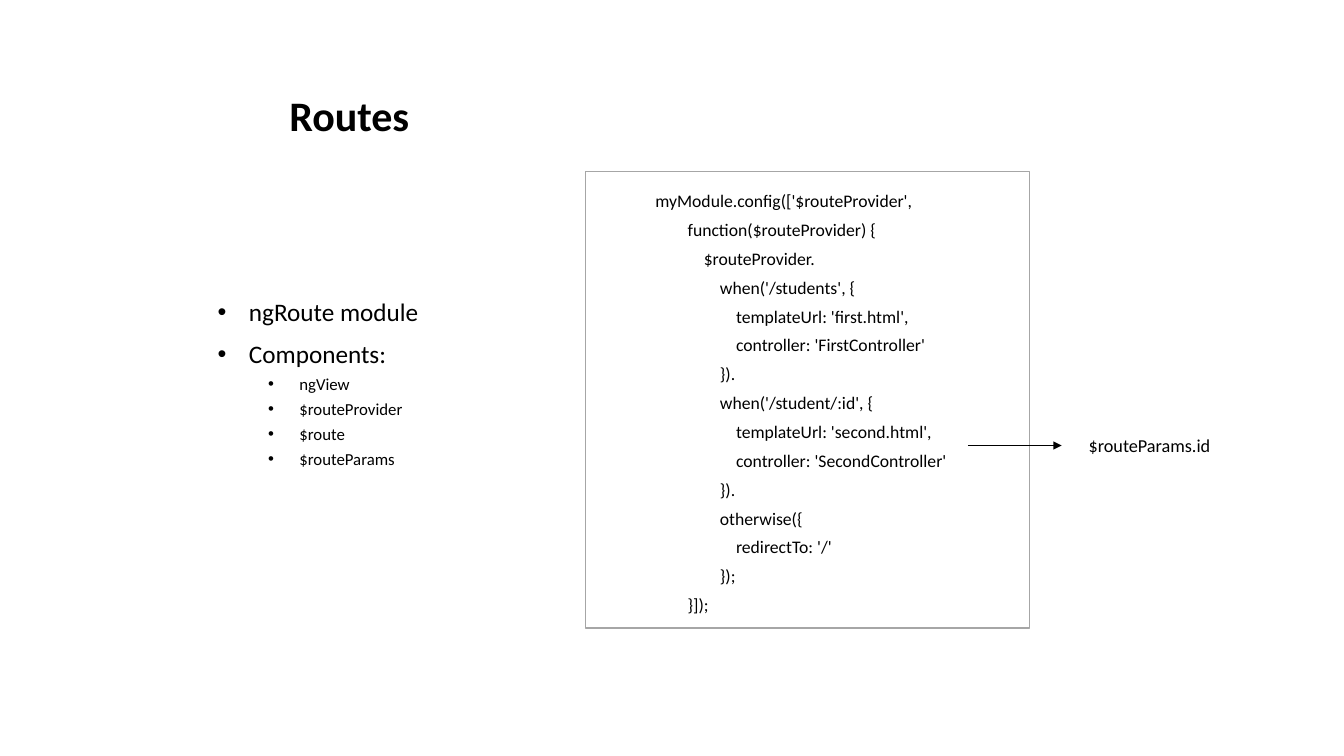
import dataclasses

import pptx
import pptx.dml.color
import pptx.enum.shapes
import pptx.enum.text
import pptx.oxml
import pptx.oxml.ns
import pptx.util
from pptx.util import Inches

ANCHOR = pptx.enum.text.MSO_ANCHOR


@dataclasses.dataclass(frozen=True)
class Theme:
    """Colours, font and type sizes of the slide."""
    font: str = "Calibri"
    text: str = "000000"
    paper: str = "FFFFFF"
    frame: str = "A6A6A6"
    title: float = 30
    item: float = 18
    subitem: float = 12
    code: float = 12.6
    note: float = 13


THEME = Theme()

COMPONENTS = [
    (0, "ngRoute module"),
    (0, "Components:"),
    (1, "ngView"),
    (1, "$routeProvider"),
    (1, "$route"),
    (1, "$routeParams"),
]

ROUTE_CODE = [
    (0, "myModule.config(['$routeProvider',"),
    (2, "function($routeProvider) {"),
    (3, "$routeProvider."),
    (4, "when('/students', {"),
    (5, "templateUrl: 'first.html',"),
    (5, "controller: 'FirstController'"),
    (4, "})."),
    (4, "when('/student/:id', {"),
    (5, "templateUrl: 'second.html',"),
    (5, "controller: 'SecondController'"),
    (4, "})."),
    (4, "otherwise({"),
    (5, "redirectTo: '/'"),
    (4, "});"),
    (2, "}]);"),
]


def rgb(value):
    """Return a colour object for a hex string."""
    return pptx.dml.color.RGBColor.from_string(value)


def add_child(parent, tag, **attrs):
    """Append a DrawingML element with the given attributes."""
    child = pptx.oxml.parse_xml(f"<a:{tag} {pptx.oxml.ns.nsdecls('a')}/>")
    for name, value in attrs.items():
        child.set(name, value)
    parent.append(child)


def add_box(s, box, wrap=True, left_inset=0):
    """Add a vertically centred text box without other insets."""
    sp = s.shapes.add_textbox(*map(Inches, box))
    tf = sp.text_frame
    tf.word_wrap = wrap
    tf.vertical_anchor = ANCHOR.MIDDLE
    tf.margin_left = Inches(left_inset)
    tf.margin_top = tf.margin_right = tf.margin_bottom = 0
    return sp


def style(p, size, bold=False, line=1.0, before=0):
    """Format a paragraph and its runs."""
    p.line_spacing = line
    p.space_before = pptx.util.Pt(before)
    for r in p.runs:
        r.font.name = THEME.font
        r.font.size = pptx.util.Pt(size)
        r.font.bold = bold
        r.font.color.rgb = rgb(THEME.text)


def add_title(s, box, text):
    """Add the slide title."""
    sp = add_box(s, box, left_inset=0.04)
    sp.fill.solid()
    sp.fill.fore_color.rgb = rgb(THEME.paper)
    sp.text_frame.text = text
    style(sp.text_frame.paragraphs[0], THEME.title, bold=True, line=0.9)


def add_bullets(s, box, items):
    """Add the two-level bullet list."""
    tf = add_box(s, box).text_frame
    tf.text = "\n".join(text for _, text in items)
    for p, (level, _) in zip(tf.paragraphs, items):
        p.level = level
        size, before = ((THEME.item, 10), (THEME.subitem, 5))[level]
        style(p, size, line=0.9, before=before)
        pPr = p._p.get_or_add_pPr()
        pPr.set("marL", str(Inches(0.31 + 0.5 * level)))
        pPr.set("indent", str(Inches(-0.31)))
        add_child(pPr, "buFont", typeface="Arial")
        add_child(pPr, "buChar", char="•")


def add_code(s, box, lines):
    """Add the framed code listing, indented by nesting level."""
    x, y, w, h = box
    tf = add_box(s, (x + 0.69, y + 0.17, w - 0.69, h - 0.23)).text_frame
    tf.text = "\n".join(text for _, text in lines)
    for p, (level, _) in zip(tf.paragraphs, lines):
        style(p, THEME.code, line=0.7, before=10)
        p._p.get_or_add_pPr().set("marL", str(Inches(0.16 * level)))
    frame = s.shapes.add_shape(
        pptx.enum.shapes.MSO_SHAPE.RECTANGLE, *map(Inches, box))
    frame.shadow.inherit = False
    frame.fill.background()
    frame.line.color.rgb = rgb(THEME.frame)
    frame.line.width = pptx.util.Pt(1)


def add_callout(s, box, text):
    """Add an arrow on the left of the box and its note on the right."""
    x, y, w, h = box
    sp = add_box(s, (x + 1.1, y, w - 1.1, h), wrap=False, left_inset=0.1)
    sp.text_frame.text = text
    style(sp.text_frame.paragraphs[0], THEME.note)
    middle = Inches(y + h / 2)
    arrow = s.shapes.add_connector(
        pptx.enum.shapes.MSO_CONNECTOR.STRAIGHT,
        Inches(x), middle, Inches(x + 0.93), middle)
    arrow.line.color.rgb = rgb(THEME.text)
    arrow.line.width = pptx.util.Pt(0.5)
    add_child(arrow.line._get_or_add_ln(), "tailEnd", type="triangle")
    add_child(arrow._element.spPr, "effectLst")


def build_routes(prs):
    """Build the routes slide."""
    s = prs.slides.add_slide(prs.slide_layouts[6])
    add_title(s, (2.83, 0.84, 2.38, 0.65), "Routes")
    add_bullets(s, (2.16, 1.87, 3.5, 3.89), COMPONENTS)
    add_code(s, (5.81, 1.7, 4.4, 4.53), ROUTE_CODE)
    add_callout(s, (9.6, 4.26, 2.53, 0.32), "$routeParams.id")


prs = pptx.Presentation()
prs.slide_width = Inches(13.33)
prs.slide_height = Inches(7.5)
build_routes(prs)
prs.save("out.pptx")
